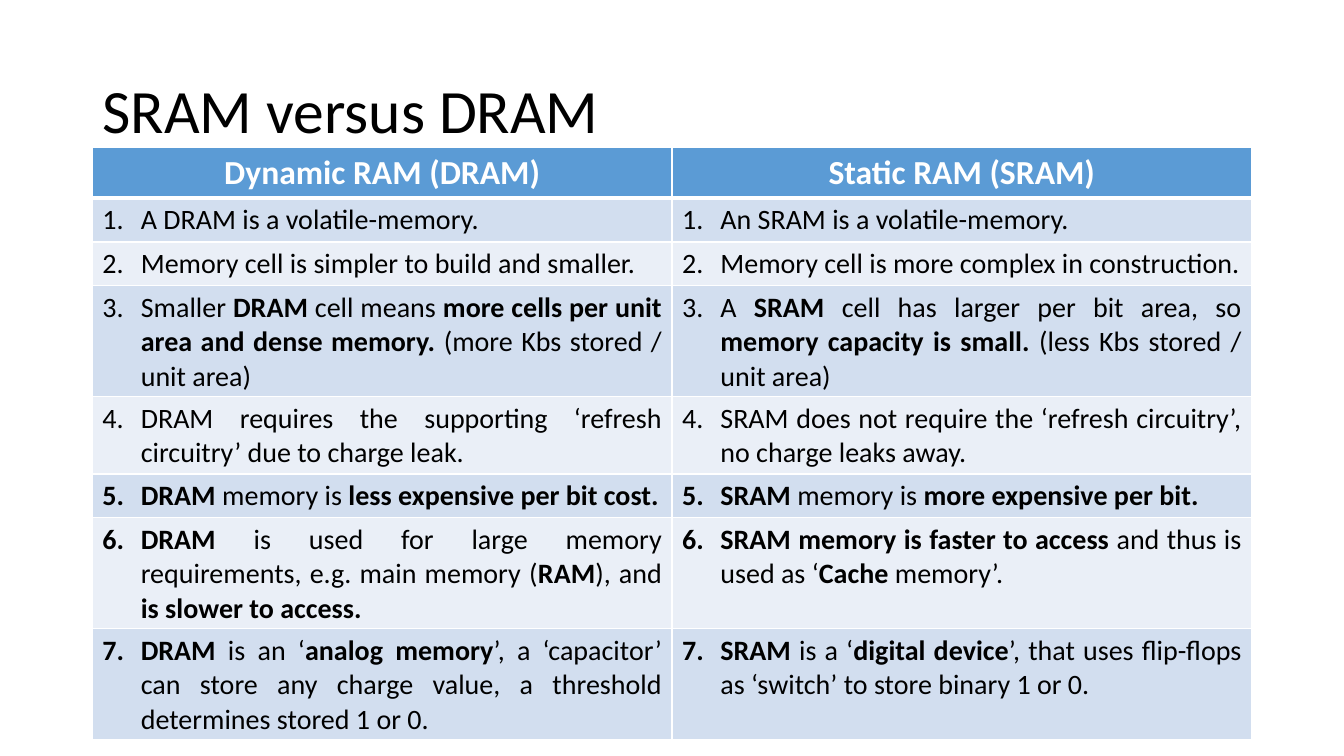
from lxml import etree
from pptx import Presentation
from pptx import util as u
from pptx.dml.color import RGBColor
from pptx.enum import text
from pptx.oxml import ns

COLORS = {
    "ink": "000000",
    "paper": "FFFFFF",
    "header": "5B9BD5",
    "odd": "D2DEEF",
    "even": "EAEFF7",
}

HEADINGS = ("Dynamic RAM (DRAM)", "Static RAM (SRAM)")

COMPARISONS = [
    ("A DRAM is a volatile-memory.",
     "An SRAM is a volatile-memory."),
    ("Memory cell is simpler to build and smaller.",
     "Memory cell is more complex in construction."),
    ("Smaller **DRAM** cell means **more cells per unit area and dense memory.**"
     " (more Kbs stored / unit area)",
     "A **SRAM** cell has larger per bit area, so **memory capacity is small.**"
     " (less Kbs stored / unit area)"),
    ("DRAM requires the supporting ‘refresh circuitry’ due to charge leak.",
     "SRAM does not require the ‘refresh circuitry’, no charge leaks away."),
    ("**DRAM** memory is **less expensive per bit cost.**",
     "**SRAM** memory is **more expensive per bit.**"),
    ("**DRAM** is used for large memory requirements, e.g. main memory (**RAM**), and "
     "**is slower to access.**",
     "**SRAM memory is faster to access** and thus is used as ‘**Cache** memory’."),
    ("**DRAM** is an ‘**analog memory**’, a ‘capacitor’ can store any charge value, "
     "a threshold determines stored 1 or 0.",
     "**SRAM** is a ‘**digital device**’, that uses flip-flops as ‘switch’ "
     "to store binary 1 or 0."),
]


def write(para, content, font="Calibri", size=20, color="ink", align=None,
          number=None, indent=0.38, spacing=None):
    if number:
        properties = para._p.get_or_add_pPr()
        properties.set("marL", str(u.Inches(indent)))
        properties.set("indent", str(-u.Inches(indent)))
        etree.SubElement(properties, ns.qn("a:buFont"), typeface=font)
        etree.SubElement(properties, ns.qn("a:buAutoNum"),
                         type="arabicPeriod", startAt=str(number))
    para.alignment = align
    para.line_spacing = spacing
    for index, part in enumerate(content.split("**")):
        if part:
            span = para.add_run()
            span.text = part
            span.font.name = font
            span.font.size = u.Pt(size)
            span.font.bold = index % 2 == 1
            span.font.color.rgb = RGBColor.from_string(COLORS[color])


class Page:
    columns, rows = 160, 90

    def __init__(self, deck):
        self.unit = deck.slide_width / self.columns
        self.slide = deck.slides.add_slide(deck.slide_layouts[6])

    def place(self, *cells):
        return [round(cell * self.unit) for cell in cells]

    def title(self, content, left, top, width, height):
        box = self.slide.shapes.add_textbox(*self.place(left, top, width, height))
        frame = box.text_frame
        frame.word_wrap = True
        frame.vertical_anchor = text.MSO_ANCHOR.MIDDLE
        write(frame.paragraphs[0], content, size=44, spacing=0.9)

    def border(self, cell, widths):
        properties = cell._tc.get_or_add_tcPr()
        for index, (side, width) in enumerate(widths.items()):
            line = etree.Element(ns.qn(f"a:ln{side}"), w=str(u.Pt(width)))
            fill = etree.SubElement(line, ns.qn("a:solidFill"))
            etree.SubElement(fill, ns.qn("a:srgbClr"), val=COLORS["paper"])
            properties.insert(index, line)

    def table(self, headings, entries, left, top, width, row_height):
        count = len(entries) + 1
        grid = self.slide.shapes.add_table(
            count, len(headings),
            *self.place(left, top, width, row_height * count)).table
        for row, contents in enumerate([headings, *entries]):
            for column, content in enumerate(contents):
                cell = grid.cell(row, column)
                para = cell.text_frame.paragraphs[0]
                if row == 0:
                    shade = "header"
                    write(para, f"**{content}**", size=24, color="paper",
                          align=text.PP_ALIGN.CENTER)
                else:
                    shade = "odd" if row % 2 else "even"
                    write(para, content, align=text.PP_ALIGN.JUSTIFY, number=row)
                cell.fill.solid()
                cell.fill.fore_color.rgb = RGBColor.from_string(COLORS[shade])
                self.border(cell, {"L": 1, "R": 1, "T": 3 if row == 1 else 1,
                                   "B": 3 if row == 0 else 1})


def main():
    deck = Presentation()
    deck.slide_width = u.Inches(13.33)
    deck.slide_height = u.Inches(7.5)
    page = Page(deck)
    page.title("SRAM versus DRAM", left=11, top=4.8, width=138, height=17.4)
    page.table(HEADINGS, COMPARISONS, left=11, top=17.6, width=138, row_height=4.9)
    deck.save("out.pptx")


if __name__ == "__main__":
    main()
